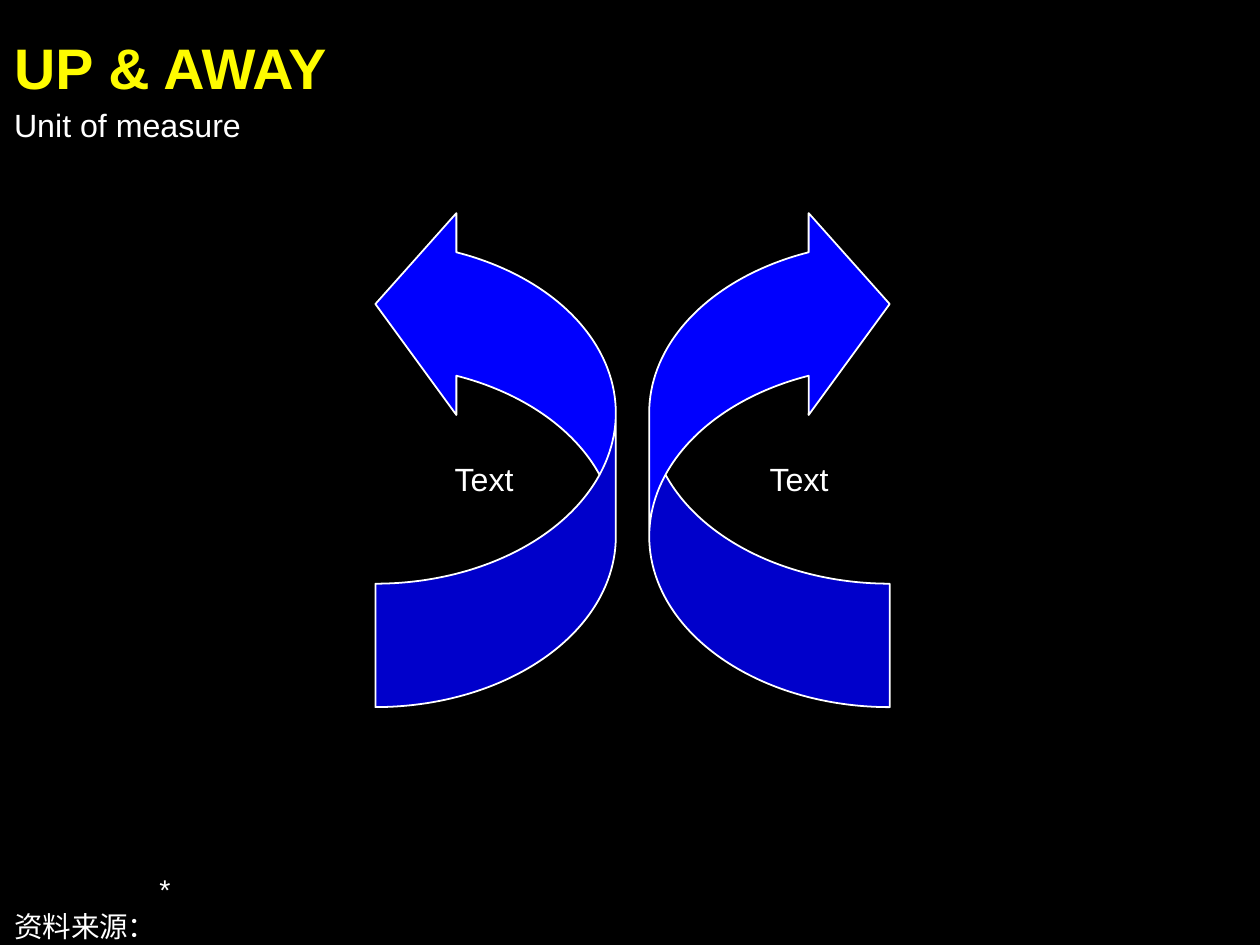
"""Build the UP & AWAY slide: two mirrored arrows curving upwards and outwards."""
from dataclasses import dataclass

from pptx import Presentation
from pptx import util as u
from pptx.dml.color import RGBColor
from pptx.enum import shapes, text


@dataclass(frozen=True)
class Theme:
    font: str = "Arial"
    background: str = "000000"
    title: str = "FEFB00"
    body: str = "FFFFFF"
    arrow: str = "0000FE"
    title_size: int = 32
    body_size: int = 18
    note_size: int = 16
    line_width: float = 1


THEME = Theme()
SIZE = (9.8, 7.35)
TOP, MIDDLE, BOTTOM = text.MSO_ANCHOR.TOP, text.MSO_ANCHOR.MIDDLE, text.MSO_ANCHOR.BOTTOM
LEFT, CENTER = text.PP_ALIGN.LEFT, text.PP_ALIGN.CENTER

ARROWS = [
    (shapes.MSO_SHAPE.CURVED_RIGHT_ARROW, 5.05),
    (shapes.MSO_SHAPE.CURVED_LEFT_ARROW, 2.92),
]
ARROW_TOP, ARROW_WIDTH, ARROW_HEIGHT = 1.58, 1.87, 3.92
BAND, HEAD_WIDTH, HEAD_LENGTH = 0.96, 1.57, 0.63

LABELS = [
    (["Text"], (2.94, 3.57, 1.65, 0.3), THEME.body_size, THEME.body, MIDDLE, CENTER),
    (["Text"], (5.39, 3.57, 1.65, 0.3), THEME.body_size, THEME.body, MIDDLE, CENTER),
    (["UP & AWAY"], (0.11, 0.25, 9.51, 0.53), THEME.title_size, THEME.title, TOP, LEFT),
    (["Unit of measure"], (0.11, 0.82, 7.24, 0.3), THEME.body_size, THEME.body, TOP, LEFT),
]
NOTES = (["\t*", "资料来源："], (0.11, 6.78, 9.42, 0.56), THEME.note_size, THEME.body, BOTTOM, LEFT)
NOTE_INDENT = 1.13
NOTE_GAP = 2


def add_arrow(page, kind, left):
    place = (left, ARROW_TOP, ARROW_WIDTH, ARROW_HEIGHT)
    arrow = page.shapes.add_shape(kind, *map(u.Inches, place))
    arrow._element.spPr.xfrm.set("flipV", "1")
    for index, length in enumerate((BAND, HEAD_WIDTH, HEAD_LENGTH)):
        arrow.adjustments[index] = length / ARROW_WIDTH
    arrow.shadow.inherit = False
    arrow.fill.solid()
    arrow.fill.fore_color.rgb = RGBColor.from_string(THEME.arrow)
    arrow.line.color.rgb = RGBColor.from_string(THEME.body)
    arrow.line.width = u.Pt(THEME.line_width)


def add_label(page, lines, place, size, color, anchor, align):
    box = page.shapes.add_textbox(*map(u.Inches, place))
    frame = box.text_frame
    frame.word_wrap = True
    frame.vertical_anchor = anchor
    frame.margin_left = frame.margin_right = frame.margin_top = frame.margin_bottom = 0
    frame.text = "\n".join(lines)
    for para in frame.paragraphs:
        para.alignment = align
        para.font.name = THEME.font
        para.font.size = u.Pt(size)
        para.font.bold = size == THEME.title_size
        para.font.color.rgb = RGBColor.from_string(color)
    return frame


def main():
    deck = Presentation()
    deck.slide_width, deck.slide_height = map(u.Inches, SIZE)
    page = deck.slides.add_slide(deck.slide_layouts[6])
    page.background.fill.solid()
    page.background.fill.fore_color.rgb = RGBColor.from_string(THEME.background)

    for kind, left in ARROWS:
        add_arrow(page, kind, left)

    for label in LABELS:
        add_label(page, *label)
    for para in add_label(page, *NOTES).paragraphs:
        para.space_after = u.Pt(NOTE_GAP)
        properties = para._p.get_or_add_pPr()
        properties.set("marL", str(u.Inches(NOTE_INDENT)))
        properties.set("indent", str(-u.Inches(NOTE_INDENT)))

    deck.save("out.pptx")


if __name__ == "__main__":
    main()
